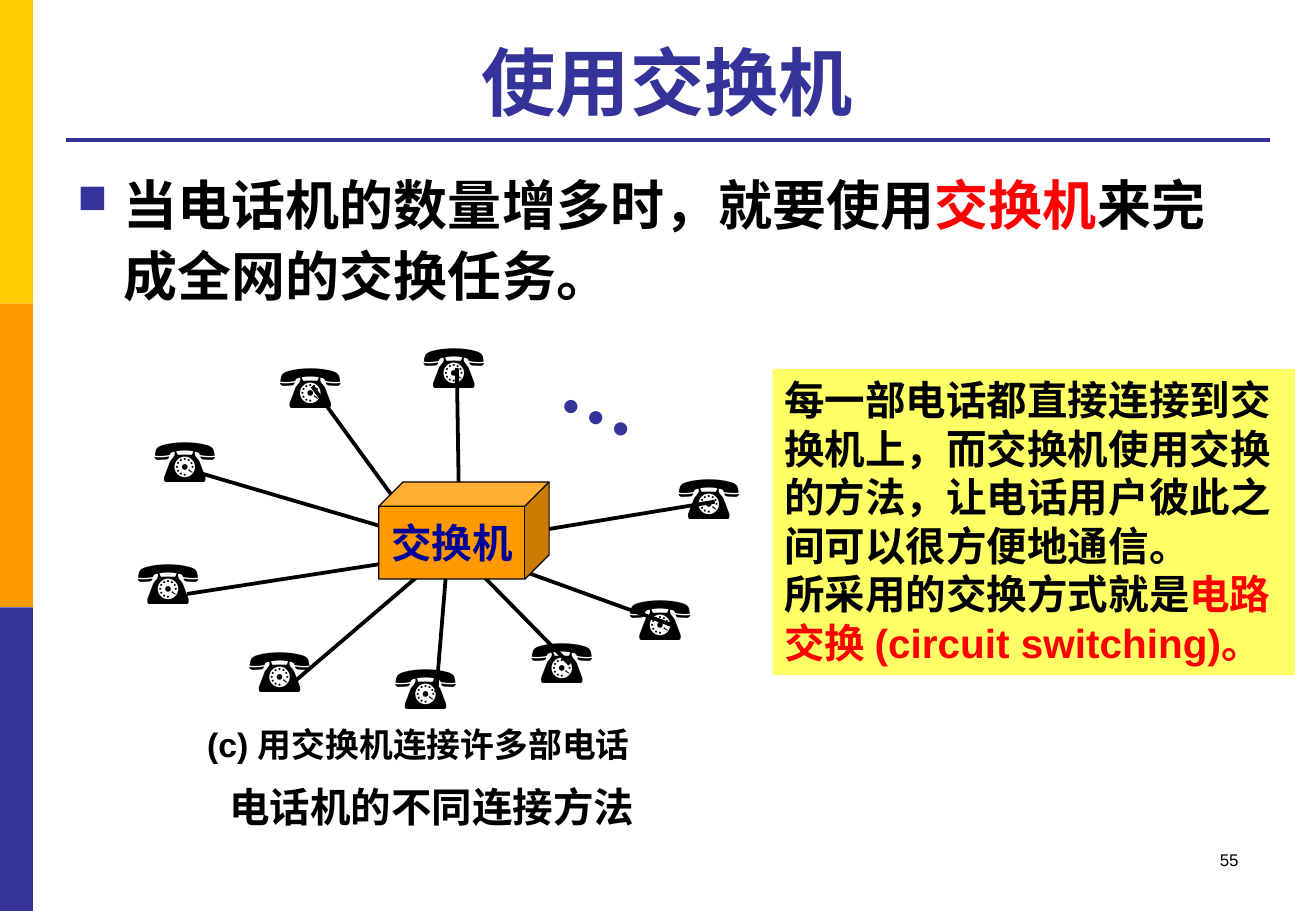
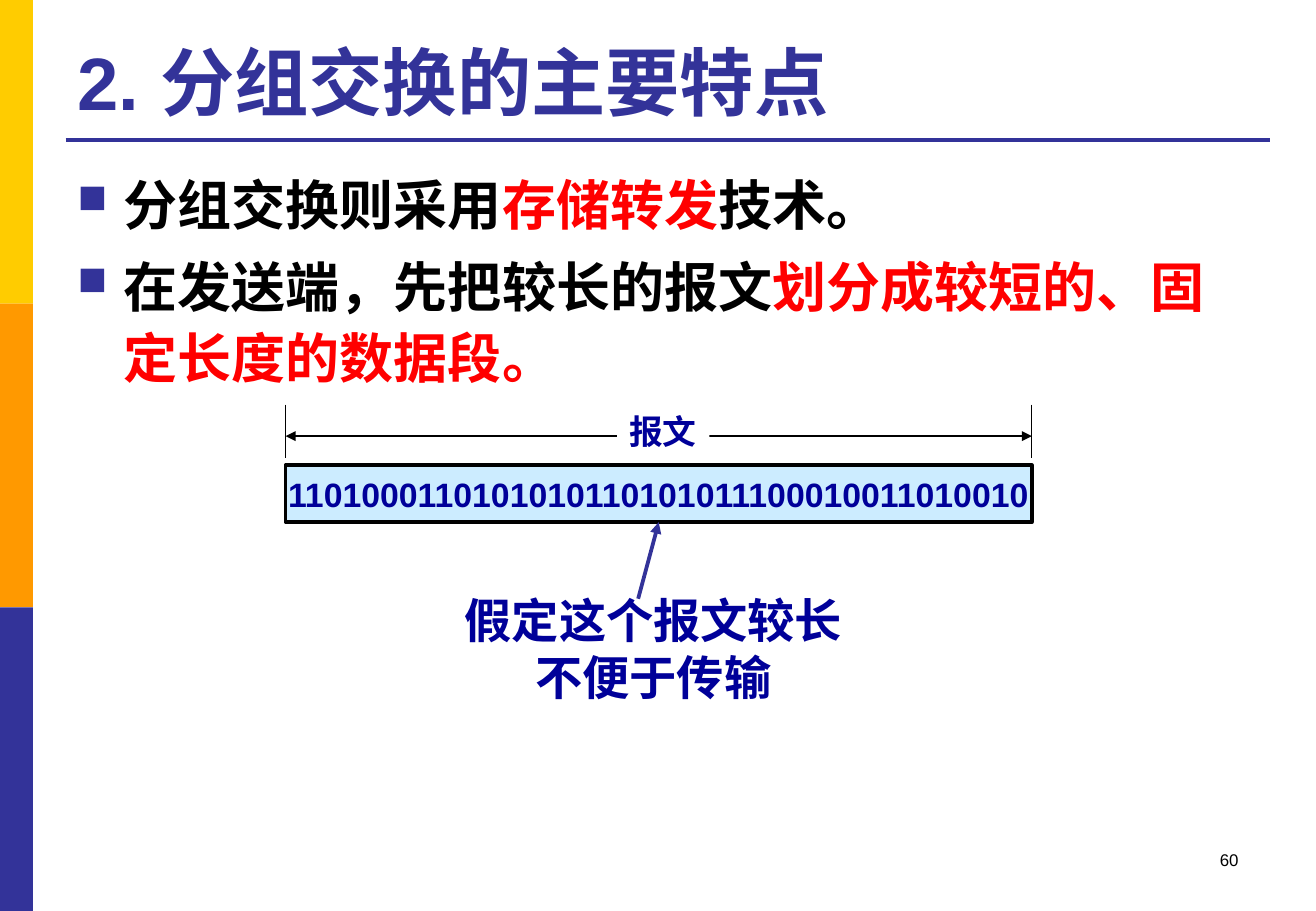
from lxml import etree
from pptx import Presentation
from pptx import util as u
from pptx.dml.color import RGBColor
from pptx.enum import shapes, text
from pptx.oxml import ns

# Shared colours and fonts
BLACK = RGBColor(0x00, 0x00, 0x00)
WHITE = RGBColor(0xFF, 0xFF, 0xFF)
RED = RGBColor(0xFF, 0x00, 0x00)
INDIGO = RGBColor(0x33, 0x33, 0x99)
NAVY = RGBColor(0x00, 0x00, 0x99)
GOLD = RGBColor(0xFF, 0xCC, 0x00)
ORANGE = RGBColor(0xFF, 0x99, 0x00)
YELLOW = RGBColor(0xFF, 0xFF, 0x66)
PALE_BLUE = RGBColor(0xCC, 0xEC, 0xFF)
SANS, SERIF, ROUND = "Arial", "Times New Roman", "Roboto"

LEFT, CENTER, RIGHT = text.PP_ALIGN.LEFT, text.PP_ALIGN.CENTER, text.PP_ALIGN.RIGHT
WIDTH, HEIGHT = 27.51, 19.05
MARGIN, CONTENT_WIDTH = 1.37, 25.17

# Each telephone: left and top of the symbol, then its line's outer and inner ends
PHONE_SIZE = (2.24, 1.8)
PHONES = [
    ((12.9, 11.99), (14.02, 13.06), (10.21, 11.68)),
    ((8, 13.44), (9.12, 14.48), (9.35, 11.68)),
    ((2.62, 11.25), (3.91, 12.42), (8.69, 11.68)),
    ((5.59, 7.14), (6.53, 8.08), (8.38, 10.62)),
    ((8.59, 6.73), (9.55, 7.7), (9.6, 10.9)),
    ((13.92, 9.47), (14.94, 10.49), (10.64, 11.2)),
    ((2.97, 8.69), (4.14, 9.88), (8.56, 11.18)),
    ((4.95, 13.08), (6.1, 14.3), (8.92, 11.89)),
    ((10.85, 12.9), (11.91, 13.89), (9.35, 11.28)),
]


def add_child(parent, tag, **attributes):
    return etree.SubElement(parent, ns.qn(tag), attributes)


def write(paragraph, runs, size, color, font=SANS, bold=True, align=LEFT):
    """Runs are plain strings, or (string, color) pairs."""
    paragraph.alignment = align
    for item in runs:
        words, run_color = (item, color) if isinstance(item, str) else item
        run = paragraph.add_run()
        run.text = words
        run.font.size, run.font.name, run.font.bold = u.Pt(size), font, bold
        run.font.color.rgb = run_color


def add_text(slide, box, paragraphs, size, color=BLACK, wrap=True, grow=True,
             fill=None, **style):
    shape = slide.shapes.add_textbox(*map(u.Cm, box))
    frame = shape.text_frame
    frame.word_wrap = wrap
    if grow:
        frame.auto_size = text.MSO_AUTO_SIZE.SHAPE_TO_FIT_TEXT
    if fill is not None:
        shape.fill.solid()
        shape.fill.fore_color.rgb = fill
    for index, runs in enumerate(paragraphs):
        paragraph = frame.add_paragraph() if index else frame.paragraphs[0]
        write(paragraph, runs, size, color, **style)
    return shape


def add_block(slide, kind, box, fill, line_width=0, label=None, size=20):
    shape = slide.shapes.add_shape(kind, *map(u.Cm, box))
    shape.shadow.inherit = False
    shape.fill.solid()
    shape.fill.fore_color.rgb = fill
    if line_width:
        shape.line.color.rgb = BLACK
        shape.line.width = u.Pt(line_width)
    else:
        shape.line.fill.background()
    if label:
        frame = shape.text_frame
        frame.word_wrap = False
        frame.vertical_anchor = text.MSO_ANCHOR.MIDDLE
        font = SERIF if kind == shapes.MSO_SHAPE.CUBE else SANS
        write(frame.paragraphs[0], [label], size, NAVY, font, align=CENTER)
    return shape


def add_line(slide, start, end, color=BLACK, width=2.25, arrows=()):
    line = slide.shapes.add_connector(
        shapes.MSO_CONNECTOR.STRAIGHT, *map(u.Cm, (*start, *end)))
    line.line.color.rgb = color
    line.line.width = u.Pt(width)
    for tag in arrows:
        add_child(line.line._get_or_add_ln(), tag, type="triangle")
    add_child(line._element.spPr, "a:effectLst")
    return line


def add_bullets(slide, paragraphs):
    box = (MARGIN, 3.33, CONTENT_WIDTH, 13.72)
    shape = add_text(slide, box, paragraphs, 32, grow=False)
    indent = u.Cm(0.97)
    for paragraph in shape.text_frame.paragraphs:
        paragraph.line_spacing = 1.1
        paragraph.space_before = u.Pt(6)
        properties = paragraph._p.get_or_add_pPr()
        properties.set("marL", str(indent))
        properties.set("indent", str(-indent))
        add_child(add_child(properties, "a:buClr"), "a:srgbClr", val=str(INDIGO))
        add_child(properties, "a:buSzPct", val="75000")
        add_child(properties, "a:buChar", char="■")


def new_slide(presentation, title, number, title_align=LEFT):
    slide = presentation.slides.add_slide(presentation.slide_layouts[6])
    # Side bands and rule
    band_height = HEIGHT / 3
    for index, color in enumerate((GOLD, ORANGE, INDIGO)):
        add_block(slide, shapes.MSO_SHAPE.RECTANGLE,
                  (0, index * band_height, 0.69, band_height), color)
    add_line(slide, (MARGIN, 2.92), (MARGIN + CONTENT_WIDTH, 2.92), INDIGO)
    # Title and page number
    heading = add_text(slide, (MARGIN, 0.53, CONTENT_WIDTH, 2.21), [[title]], 44,
                       INDIGO, grow=False, align=title_align)
    heading.text_frame.vertical_anchor = text.MSO_ANCHOR.BOTTOM
    add_text(slide, (19.71, 17.65, 6.43, 1.27), [[number]], 10, grow=False,
             bold=False, align=RIGHT)
    return slide


def build_switch_slide(presentation):
    slide = new_slide(presentation, "使用交换机", "55", CENTER)
    add_bullets(slide, [["当电话机的数量增多时，就要使用", ("交换机", RED),
                         "来完成全网的交换任务。"]])

    # Telephones around the switch
    dots = add_text(slide, (11.58, 7.09, 2.24, 2.31), [["…"]], 48, INDIGO,
                    wrap=False, font=SERIF)
    dots.rotation = 24.3
    for corner, outer, inner in PHONES:
        add_line(slide, outer, inner)
        add_text(slide, (*corner, *PHONE_SIZE), [["☎"]], 36, wrap=False,
                 font=SERIF, bold=False)
    add_block(slide, shapes.MSO_SHAPE.CUBE, (7.92, 10.08, 3.56, 2.03), ORANGE,
              0.75, "交换机", 24)

    # Explanation and captions
    add_text(slide, (16.15, 7.72, 10.92, 6.4), [
        ["每一部电话都直接连接到交换机上，而交换机使用交换的方法，"
         "让电话用户彼此之间可以很方便地通信。"],
        ["所采用的交换方式就是", ("电路交换 (circuit switching)。", RED)],
    ], 24, fill=YELLOW)
    add_text(slide, (2.97, 15.01, 11.56, 1.12), [["(c) 用交换机连接许多部电话"]], 20,
             align=CENTER)
    add_text(slide, (1.32, 16.23, 15.42, 1.27), [["电话机的不同连接方法"]], 24,
             align=CENTER)


def build_packet_slide(presentation):
    slide = new_slide(presentation, "2. 分组交换的主要特点", "60")
    add_bullets(slide, [
        ["分组交换则采用", ("存储转发", RED), "技术。"],
        ["在发送端，先把较长的报文", ("划分成较短的、固定长度的数据段。", RED)],
    ])

    # Message and its length
    left, width = 5.97, 15.6
    right = left + width
    message = add_block(slide, shapes.MSO_SHAPE.RECTANGLE, (left, 9.73, width, 1.19),
                        PALE_BLUE, 2.25, "1101000110101010110101011100010011010010")
    add_line(slide, (left, 9.12), (right, 9.12), width=0.75,
             arrows=("a:headEnd", "a:tailEnd"))
    for x in (left, right):
        add_line(slide, (x, 8.46), (x, 9.58), width=0.75)
    add_text(slide, (12.9, 8.46, 1.93, 1.12), [["报文"]], 20, NAVY, wrap=False,
             fill=WHITE, font=SERIF)

    # Remark pointing at the message
    add_text(slide, (9.42, 12.24, 8.48, 2.64), [["假定这个报文较长"], ["不便于传输"]], 28,
             NAVY, wrap=False, font=ROUND, align=CENTER)
    pointer = add_line(slide, (13.34, 12.52), (left + width / 2, 10.92), INDIGO,
                       arrows=("a:tailEnd",))
    pointer.end_connect(message, 2)


def main():
    presentation = Presentation()
    presentation.slide_width, presentation.slide_height = u.Cm(WIDTH), u.Cm(HEIGHT)
    build_switch_slide(presentation)
    build_packet_slide(presentation)
    presentation.save("out.pptx")


if __name__ == "__main__":
    main()
